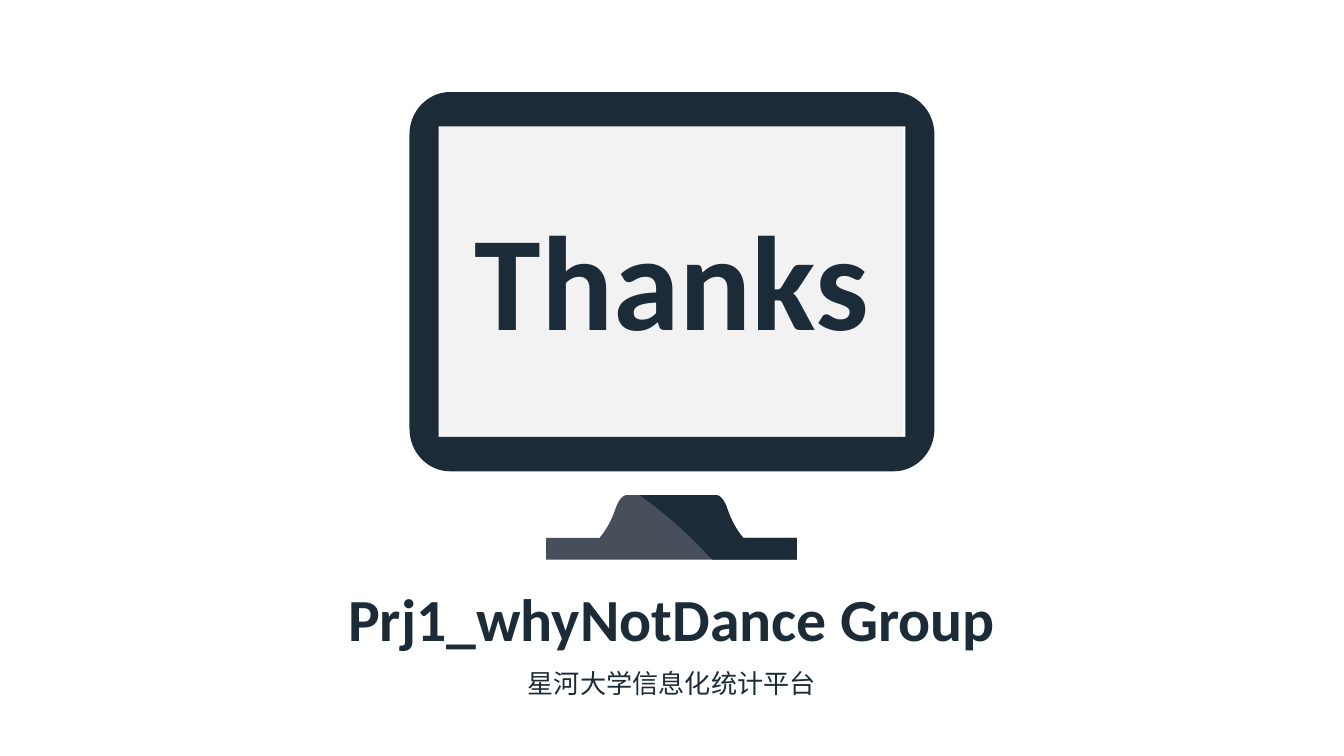
from lxml import etree
from pptx import Presentation
from pptx import util as u
from pptx.dml import color
from pptx.enum import shapes, text
from pptx.oxml import ns

NAVY, SLATE, SCREEN = "1C2B38", "464F5A", "F2F2F2"
CENTRE = 12.7
STAND_CENTRE = 12.69
ROUNDNESS = 0.55  # control point distance of a quarter ellipse


def rgb(value):
    return color.RGBColor.from_string(value)


def paint(shape, fill):
    shape.shadow.inherit = False
    shape.fill.solid()
    shape.fill.fore_color.rgb = rgb(fill)
    shape.line.fill.background()


def bend(shape, kinds):
    """Turn the segments marked C, three points each, into cubic curves."""
    segments = iter(list(shape._element.iter(ns.qn("a:lnTo"))))
    for kind in kinds:
        first = next(segments)
        if kind == "C":
            curve = etree.Element(ns.qn("a:cubicBezTo"))
            first.addprevious(curve)
            for segment in (first, next(segments), next(segments)):
                curve.append(segment[0])
                segment.getparent().remove(segment)


def add_outline(parts, contours, kinds, fill):
    """Filled freeform; a second contour cuts a hole."""
    builder = None
    for contour in contours:
        start, *rest = [(u.Cm(x), u.Cm(y)) for x, y in contour]
        if builder is None:
            builder = parts.build_freeform(*start)
        else:
            builder.move_to(*start)
        builder.add_line_segments(rest, close=True)
    outline = builder.convert_to_shape()
    bend(outline, kinds)
    paint(outline, fill)


def rounded_box(left, top, right, bottom, rx, ry):
    """Four curved corners, counter-clockwise from the upper left one."""
    points = []
    corners = [(left, top, 1, 1), (left, bottom, 1, -1),
               (right, bottom, -1, -1), (right, top, -1, 1)]
    for index, (x, y, across, down) in enumerate(corners):
        dx, dy = across * rx, down * ry
        inner = 1 - ROUNDNESS
        corner = [(x + dx, y), (x + dx * inner, y), (x, y + dy * inner), (x, y + dy)]
        points += corner if index % 2 == 0 else corner[::-1]
    return points


def add_monitor(parts):
    # Screen and the bezel around it
    screen = parts.add_shape(shapes.MSO_SHAPE.RECTANGLE, u.Cm(8.31), u.Cm(2.36),
                             u.Cm(8.76), u.Cm(6.17))
    paint(screen, SCREEN)
    left, top, right, bottom = 8.29, 2.39, 17.11, 8.26
    opening = [(right, bottom), (left, bottom), (left, top), (right, top)]
    bezel = rounded_box(7.74, 1.74, 17.66, 8.91, 0.77, 0.8)
    add_outline(parts, [bezel, opening], "CLCLCLC" + "LLL", NAVY)


def add_stand(parts):
    # Right flank from the foot to the top; the left one mirrors it
    flank = [(15.06, 10.58), (15.06, 10.17), (14.05, 10.17),
             (13.97, 10.08), (13.84, 9.9), (13.74, 9.6),
             (13.74, 9.6), (13.66, 9.36), (13.54, 9.36)]
    mirrored = [(2 * STAND_CENTRE - x, y) for x, y in reversed(flank)]
    add_outline(parts, [flank + mirrored], "LLCC" + "L" + "CCLL", SLATE)
    # Dark side, cut off by a curve
    cut = [(12.09, 9.36), (12.57, 9.7), (13.03, 10.11), (13.46, 10.58)]
    add_outline(parts, [flank + cut], "LLCC" + "L" + "C", NAVY)


def add_caption(slide, words, top, width, height, size, bold=False, wrap=False):
    box = slide.shapes.add_textbox(u.Cm(CENTRE - width / 2), u.Cm(top),
                                   u.Cm(width), u.Cm(height))
    frame = box.text_frame
    frame.word_wrap = wrap
    frame.auto_size = text.MSO_AUTO_SIZE.SHAPE_TO_FIT_TEXT
    line = frame.paragraphs[0]
    line.alignment = text.PP_ALIGN.CENTER
    run = line.add_run()
    run.text = words
    for name, value in {"name": "Calibri", "size": u.Pt(size), "bold": bold}.items():
        setattr(run.font, name, value)
    run.font.color.rgb = rgb(NAVY)


def main():
    deck = Presentation()
    deck.slide_width, deck.slide_height = u.Cm(25.4), u.Cm(14.29)
    slide = deck.slides.add_slide(deck.slide_layouts[6])

    # Computer
    computer = slide.shapes.add_group_shape()
    add_monitor(computer.shapes)
    add_stand(computer.shapes)

    # Closing words
    add_caption(slide, "Thanks", 3.58, 8.03, 3.33, 72, bold=True)
    add_caption(slide, "Prj1_whyNotDance Group", 10.87, 12.86, 1.63, 32, bold=True)
    add_caption(slide, "星河大学信息化统计平台", 12.5, 16.59, 0.86, 14, wrap=True)

    deck.save("out.pptx")


if __name__ == "__main__":
    main()
